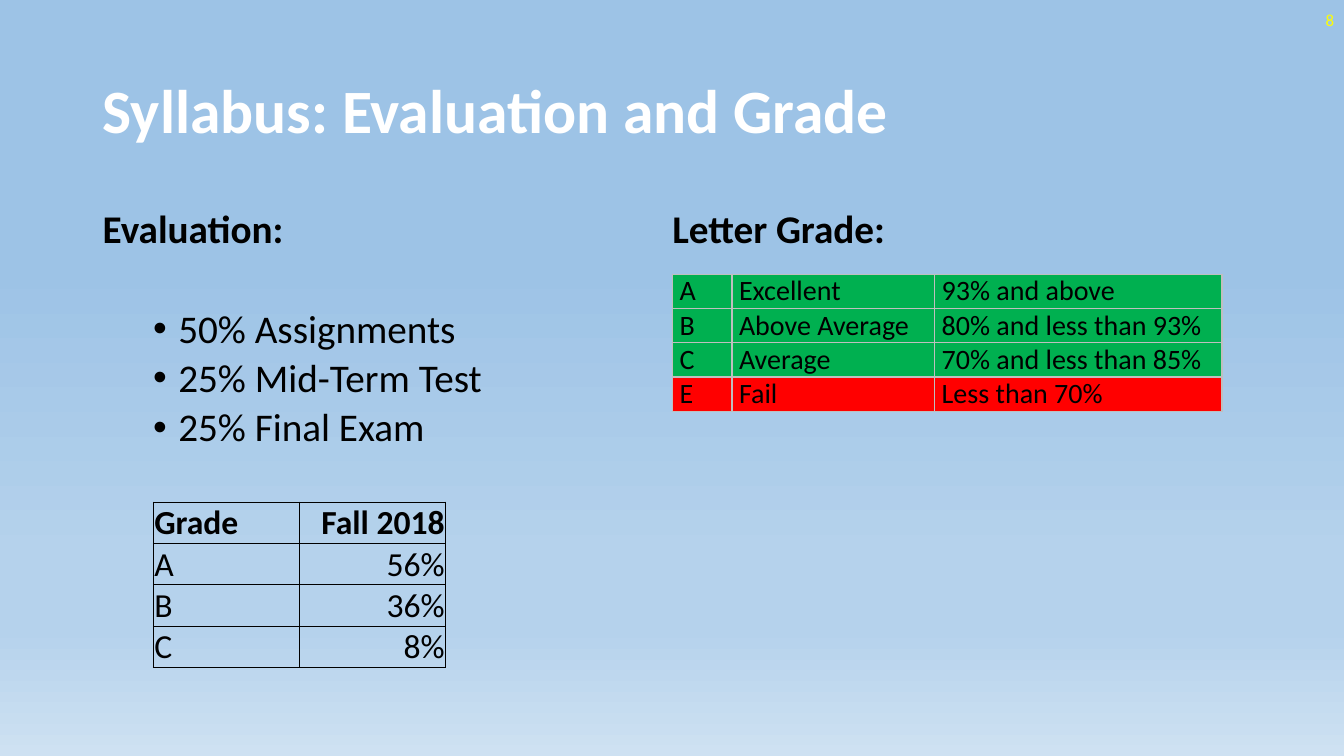
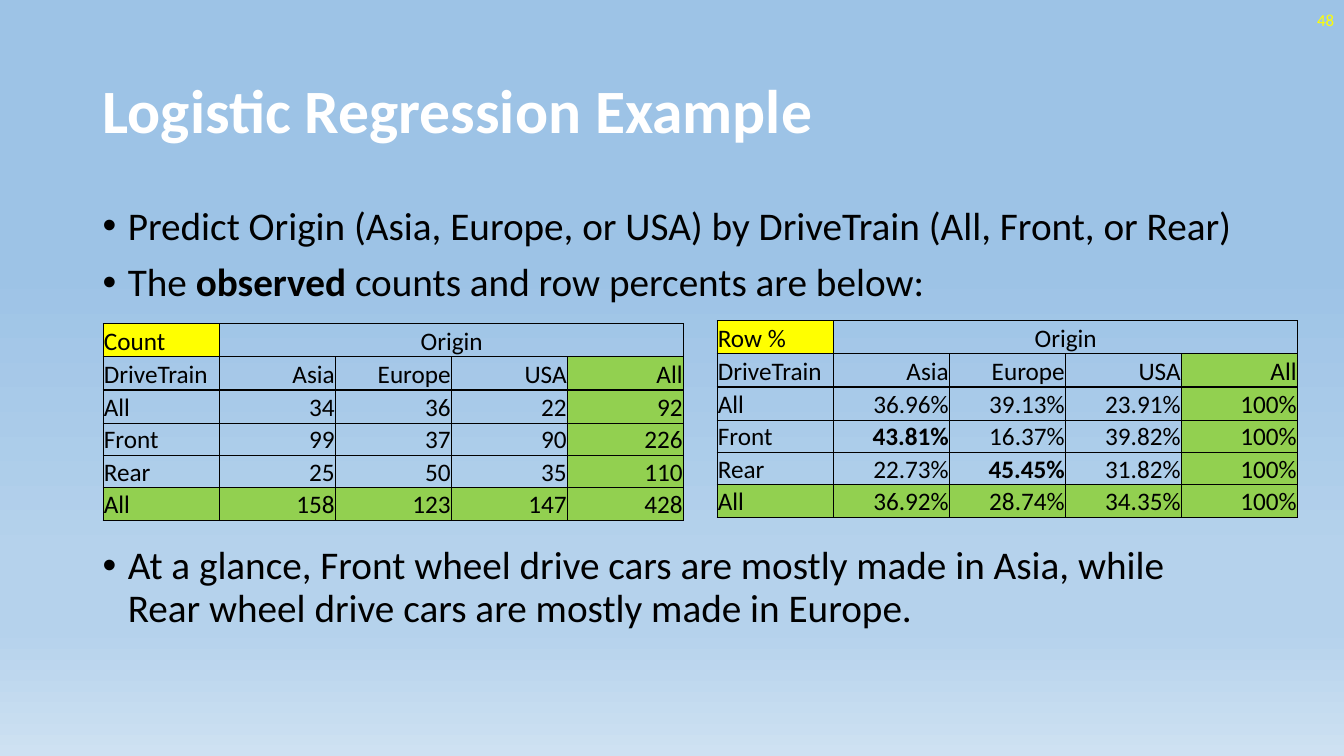
from dataclasses import dataclass
from typing import Any, Callable

from lxml.etree import SubElement
from pptx import Presentation
from pptx.dml.color import RGBColor
from pptx.enum.text import MSO_ANCHOR as Anchor, PP_ALIGN as Align
from pptx.oxml.ns import qn
from pptx.util import Inches, Pt

FONT = "Calibri"
BLACK, WHITE, YELLOW = "000000", "FFFFFF", "FFFF00"
GREEN, RED, LIME, SILVER = "00B050", "FF0000", "92D050", "BFBFBF"
BACKGROUND = [(35, "9DC3E6"), (74, "B5D2EC"), (83, "B5D2EC"), (100, "CEE1F2")]
LEFT, WIDTH = 0.92, 11.5
BODY_SIZE = 28
HANG = 0.25


@dataclass
class Para:
    """One paragraph; words between ** marks are bold."""
    text: str
    size: int = BODY_SIZE
    color: str = BLACK
    align: Align = Align.LEFT
    before: float = 0
    spacing: float = 0.9
    indent: float = 0  # a bullet is drawn when this is above zero


@dataclass
class Grid:
    """A table with its look; fill and align take (row, column)."""
    left: float
    top: float
    widths: list[float]
    heights: list[float]
    rows: list[list[str]]
    size: int
    fill: Callable[[int, int], str | None]
    align: Callable[[int, int], Align]
    anchor: Anchor
    margins: dict[str, float]
    line: str = BLACK
    weight: float = 0.5
    span: bool = False  # first row: merge from the second column on
    rule_row: int = -1  # row with a heavy line below


def rgb(value: str) -> RGBColor:
    return RGBColor.from_string(value)


def apply(target: Any, values: dict[str, Any]) -> None:
    for name, value in values.items():
        setattr(target, name, value)


def write_para(p: Any, para: Para) -> None:
    apply(p, {"alignment": para.align, "line_spacing": para.spacing,
              "space_before": Pt(para.before)})
    if para.indent:
        pPr = p._p.get_or_add_pPr()
        pPr.set("marL", str(Inches(para.indent)))
        pPr.set("indent", str(-Inches(HANG)))
        SubElement(pPr, qn("a:buFont"), typeface="Arial")
        SubElement(pPr, qn("a:buChar"), char="•")
    for i, part in enumerate(para.text.split("**")):
        if part:
            r = p.add_run()
            r.text = part
            apply(r.font, {"name": FONT, "size": Pt(para.size), "bold": i % 2 == 1})
            r.font.color.rgb = rgb(para.color)


def add_text(s: Any, left: float, top: float, width: float, height: float,
             paras: list[Para], anchor: Anchor = Anchor.TOP) -> None:
    box = s.shapes.add_textbox(*map(Inches, (left, top, width, height)))
    tf = box.text_frame
    apply(tf, {"word_wrap": True, "vertical_anchor": anchor})
    for i, para in enumerate(paras):
        write_para(tf.add_paragraph() if i else tf.paragraphs[0], para)


def add_border(cell: Any, side: str, color: str, weight: float) -> None:
    ln = SubElement(cell._tc.get_or_add_tcPr(), qn(f"a:ln{side}"), w=str(Pt(weight)))
    SubElement(SubElement(ln, qn("a:solidFill")), qn("a:srgbClr"), val=color)


def add_grid(s: Any, g: Grid) -> None:
    sp = s.shapes.add_table(len(g.heights), len(g.widths), Inches(g.left), Inches(g.top),
                            Inches(sum(g.widths)), Inches(sum(g.heights)))
    table = sp.table
    apply(table, {"first_row": False, "horz_banding": False})
    for column, width in zip(table.columns, g.widths):
        column.width = Inches(width)
    for row, height in zip(table.rows, g.heights):
        row.height = Inches(height)
    if g.span:
        table.cell(0, 1).merge(table.cell(0, len(g.widths) - 1))

    for i in range(len(g.heights)):
        for j in range(len(g.widths)):
            cell = table.cell(i, j)
            apply(cell, {f"margin_{k}": Inches(v) for k, v in g.margins.items()})
            cell.vertical_anchor = g.anchor
            heavy = {"T": i == g.rule_row + 1 and i > 0, "B": i == g.rule_row}
            for side in "LRTB":
                add_border(cell, side, g.line, 2 if heavy.get(side) else g.weight)
            color = g.fill(i, j)
            if color:
                cell.fill.solid()
                cell.fill.fore_color.rgb = rgb(color)
            else:
                cell.fill.background()
            if not cell.is_spanned:
                write_para(cell.text_frame.paragraphs[0],
                           Para(g.rows[i][j], g.size, align=g.align(i, j), spacing=1.0))


def set_background(master: Any) -> None:
    fill = master.background.fill
    fill.gradient()
    fill.gradient_angle = 270
    stops = next(master.element.iter(qn("a:gsLst")))
    for stop in list(stops):
        stops.remove(stop)
    for percent, color in BACKGROUND:
        gs = SubElement(stops, qn("a:gs"), pos=str(percent * 1000))
        SubElement(gs, qn("a:srgbClr"), val=color)


def add_slide(prs: Any, title: str, number: int) -> Any:
    s = prs.slides.add_slide(prs.slide_layouts[6])
    add_text(s, LEFT, 0.4, WIDTH, 1.45, [Para(f"**{title}**", 44, WHITE)], Anchor.MIDDLE)
    add_text(s, 10.33, 0, 3, 0.4,
             [Para(str(number), 12, YELLOW, Align.RIGHT, spacing=1.0)], Anchor.MIDDLE)
    return s


# Alignment and fill rules of the tables
TIGHT = {"left": 0.01, "right": 0.01, "top": 0.01, "bottom": 0}
PADDED = {"left": 0.07, "right": 0.07, "top": 0, "bottom": 0}


def numbers_right(i: int, j: int) -> Align:
    return Align.RIGHT if j else Align.LEFT


def crosstab_align(i: int, j: int) -> Align:
    return Align.CENTER if (i, j) == (0, 1) else numbers_right(i, j)


def crosstab_fill(i: int, j: int) -> str | None:
    if (i, j) == (0, 0):
        return YELLOW
    return LIME if i == 5 or (i > 0 and j == 4) else None


def crosstab(left: float, top: float, corner: str, counts: list[list[str]]) -> Grid:
    labels = ["All", "Front", "Rear", "All"]
    rows = [[corner, "Origin"], ["DriveTrain", "Asia", "Europe", "USA", "All"]]
    rows += [[label, *values] for label, values in zip(labels, counts)]
    return Grid(left, top, [1.16] + [1.15] * 4, [0.33] * 3 + [0.32] * 3, rows, 18,
                crosstab_fill, crosstab_align, Anchor.BOTTOM, TIGHT,
                span=True, rule_row=1)


def build_syllabus(prs: Any) -> None:
    s = add_slide(prs, "Syllabus: Evaluation and Grade", 8)
    # Two columns of text
    items = ["50% Assignments", "25% Mid-Term Test", "25% Final Exam"]
    bullets = [Para(text, before=5 if i else 41, indent=0.75)
               for i, text in enumerate(items)]
    add_text(s, LEFT, 2.03, 5.65, 2.6, [Para("**Evaluation:**"), *bullets])
    add_text(s, LEFT + 5.65, 2.03, 5.65, 0.55, [Para("**Letter Grade:**")])
    # Letter grades
    add_grid(s, Grid(
        6.67, 2.72, [0.59, 2.01, 2.85], [0.34] * 4,
        [["A", "Excellent", "93% and above"],
         ["B", "Above Average", "80% and less than 93%"],
         ["C", "Average", "70% and less than 85%"],
         ["E", "Fail", "Less than 70%"]],
        20, lambda i, j: RED if i == 3 else GREEN, lambda i, j: Align.LEFT,
        Anchor.TOP, PADDED, SILVER, 1))
    # Past results
    add_grid(s, Grid(
        1.52, 4.98, [1.45] * 2, [0.41] * 4,
        [["**Grade**", "**Fall 2018**"], ["A", "56%"], ["B", "36%"], ["C", "8%"]],
        24, lambda i, j: None, numbers_right, Anchor.MIDDLE, TIGHT))


def build_regression(prs: Any) -> None:
    s = add_slide(prs, "Logistic Regression Example", 48)
    # Bullets, with room for the tables before the last one
    bullets = [
        (0, "Predict Origin (Asia, Europe, or USA) by DriveTrain (All, Front, or Rear)"),
        (10, "The **observed** counts and row percents are below:"),
        (172, "At a glance, Front wheel drive cars are mostly made in Asia, while "
              "Rear wheel drive cars are mostly made in Europe."),
    ]
    add_text(s, LEFT, 2, WIDTH, 4.76,
             [Para(text, before=before, indent=HANG) for before, text in bullets])
    # Counts and row percents
    add_grid(s, crosstab(1.02, 3.21, "Count", [
        ["34", "36", "22", "92"],
        ["99", "37", "90", "226"],
        ["25", "50", "35", "110"],
        ["158", "123", "147", "428"]]))
    add_grid(s, crosstab(7.11, 3.18, "Row %", [
        ["36.96%", "39.13%", "23.91%", "100%"],
        ["**43.81%**", "16.37%", "39.82%", "100%"],
        ["22.73%", "**45.45%**", "31.82%", "100%"],
        ["36.92%", "28.74%", "34.35%", "100%"]]))


def main() -> None:
    prs = Presentation()
    apply(prs, {"slide_width": Inches(13.33), "slide_height": Inches(7.5)})
    set_background(prs.slide_master)
    build_syllabus(prs)
    build_regression(prs)
    prs.save("out.pptx")


if __name__ == "__main__":
    main()
